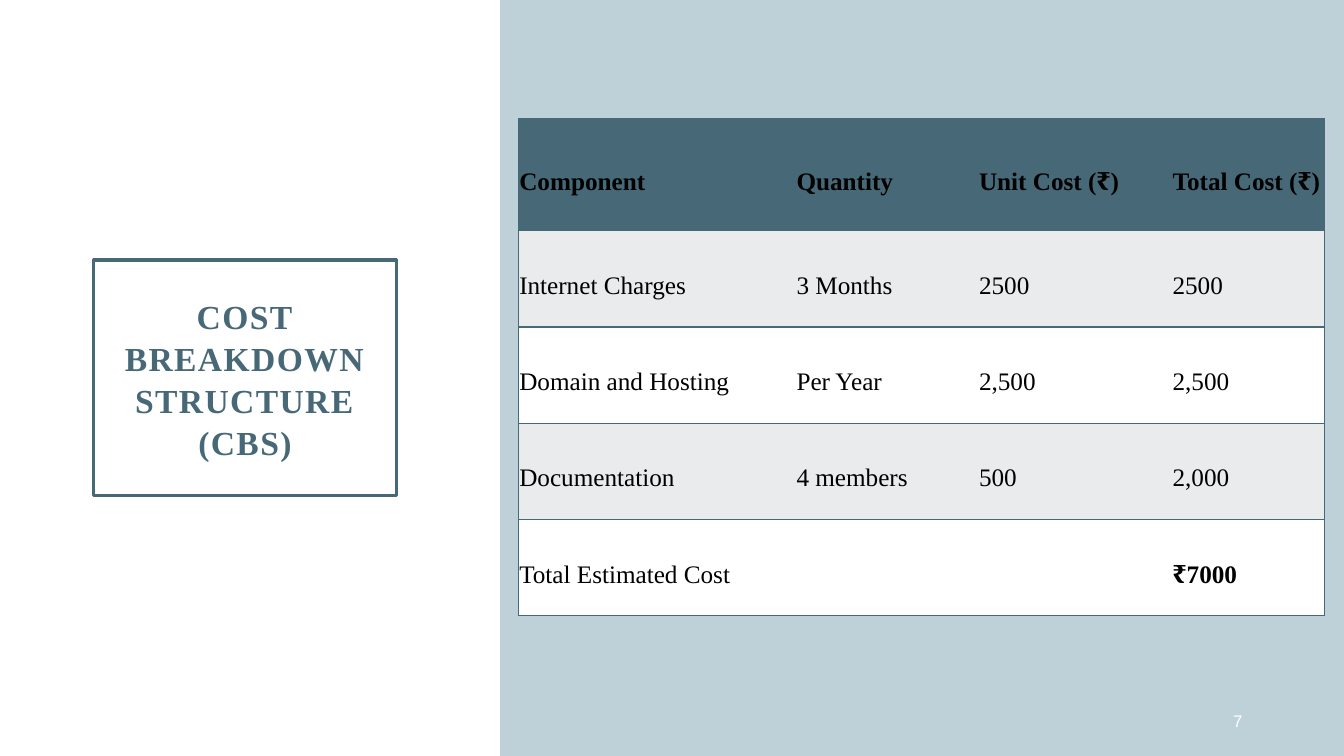
import pptx
import pptx.dml.color
import pptx.enum.shapes
import pptx.enum.text
import pptx.oxml.ns
import pptx.util
from lxml import etree

Inches = pptx.util.Inches
Pt = pptx.util.Pt
RGBColor = pptx.dml.color.RGBColor
PP_ALIGN = pptx.enum.text.PP_ALIGN
qn = pptx.oxml.ns.qn

TEAL = RGBColor(0x47, 0x69, 0x77)
PANEL_BLUE = RGBColor(0xAF, 0xC6, 0xCF)
BAND_GREY = RGBColor(0xE9, 0xEB, 0xEC)
WHITE = RGBColor(0xFF, 0xFF, 0xFF)
BLACK = RGBColor(0, 0, 0)
SERIF = "Times New Roman"

COLUMN_WIDTHS = [2.75, 1.81, 1.92, 1.52]
HEADER_HEIGHT = 1.11
COST_ROWS = [
    ["Component", "Quantity", "Unit Cost (₹)", "Total Cost (₹)"],
    ["Internet Charges", "3 Months", "2500", "2500"],
    ["Domain and Hosting", "Per Year", "2,500", "2,500"],
    ["Documentation", "4 members", "500", "2,000"],
    ["Total Estimated Cost", "", "", "₹7000"],
]


def add_run(paragraph, text, font_name, size, color, bold=False, spacing=0):
    """Add one formatted run, with letter spacing in points."""
    run = paragraph.add_run()
    run.text = text
    run.font.name = font_name
    run.font.size = Pt(size)
    run.font.bold = bold
    run.font.color.rgb = color
    if spacing:
        run.font._element.set("spc", str(spacing * 100))


def add_rectangle(slide, left, top, width, height):
    """Add a rectangle without a shadow."""
    shape = slide.shapes.add_shape(
        pptx.enum.shapes.MSO_SHAPE.RECTANGLE,
        Inches(left), Inches(top), Inches(width), Inches(height))
    shape.shadow.inherit = False
    return shape


def add_panel(slide, left, top, width, height):
    """Add the translucent panel behind the table."""
    panel = add_rectangle(slide, left, top, width, height)
    panel.fill.solid()
    panel.fill.fore_color.rgb = PANEL_BLUE
    panel.line.fill.background()
    color = panel.fill._xPr.find(".//" + qn("a:srgbClr"))
    etree.SubElement(color, qn("a:alpha"), val="80000")


def add_title(slide, left, top, width, height):
    """Add the framed slide title."""
    title = add_rectangle(slide, left, top, width, height)
    title.fill.background()
    title.line.color.rgb = TEAL
    title.line.width = Pt(2.25)
    title.text_frame.word_wrap = True
    title.text_frame.vertical_anchor = pptx.enum.text.MSO_ANCHOR.MIDDLE
    paragraph = title.text_frame.paragraphs[0]
    paragraph.alignment = PP_ALIGN.CENTER
    paragraph.line_spacing = 1.04
    add_run(paragraph, "COST BREAKDOWN STRUCTURE (CBS)", SERIF, 24, TEAL, True, 1)


def set_borders(cell, visible_sides):
    """Draw teal borders on the visible sides and hide the others."""
    properties = cell._tc.get_or_add_tcPr()
    for side in "LRTB":
        line = etree.SubElement(properties, qn("a:ln" + side), w=str(Pt(1)))
        if side in visible_sides:
            fill = etree.SubElement(line, qn("a:solidFill"))
            etree.SubElement(fill, qn("a:srgbClr"), val=str(TEAL))
        else:
            etree.SubElement(line, qn("a:noFill"))


def fill_cell(cell, text, background, bold, alignment):
    """Set the background, margins and text of one table cell."""
    cell.fill.solid()
    cell.fill.fore_color.rgb = background
    cell.vertical_anchor = pptx.enum.text.MSO_ANCHOR.MIDDLE
    cell.margin_left = cell.margin_right = Inches(0.01)
    cell.margin_top = cell.margin_bottom = Inches(0.01)
    if text:
        paragraph = cell.text_frame.paragraphs[0]
        paragraph.alignment = alignment
        paragraph.line_spacing = 1.5
        paragraph.space_after = Pt(10)
        add_run(paragraph, text, SERIF, 18, BLACK, bold)


def add_cost_table(slide, left, top, width, height):
    """Add the cost table with banded rows and an outer frame."""
    table = slide.shapes.add_table(
        len(COST_ROWS), len(COLUMN_WIDTHS),
        Inches(left), Inches(top), Inches(width), Inches(height)).table
    for column, share in zip(table.columns, COLUMN_WIDTHS):
        column.width = Inches(width * share / sum(COLUMN_WIDTHS))
    body_height = (height - HEADER_HEIGHT) / (len(COST_ROWS) - 1)
    last_row, last_column = len(COST_ROWS) - 1, len(COLUMN_WIDTHS) - 1
    for row_index, texts in enumerate(COST_ROWS):
        is_header = row_index == 0
        table.rows[row_index].height = Inches(HEADER_HEIGHT if is_header else body_height)
        background = TEAL if is_header else BAND_GREY if row_index % 2 else WHITE
        alignment = PP_ALIGN.JUSTIFY if is_header else PP_ALIGN.LEFT
        for column_index, text in enumerate(texts):
            cell = table.cell(row_index, column_index)
            sides = "TB" + {0: "L", last_column: "R"}.get(column_index, "")
            set_borders(cell, sides)
            is_total = row_index == last_row and column_index == last_column
            fill_cell(cell, text, background, is_header or is_total, alignment)


def add_page_number(slide, left, top, width, height):
    """Add the right-aligned page number."""
    box = slide.shapes.add_textbox(
        Inches(left), Inches(top), Inches(width), Inches(height))
    box.text_frame.word_wrap = True
    box.text_frame.vertical_anchor = pptx.enum.text.MSO_ANCHOR.MIDDLE
    paragraph = box.text_frame.paragraphs[0]
    paragraph.alignment = PP_ALIGN.RIGHT
    add_run(paragraph, "7", "Arial", 12, WHITE, spacing=1)


def main():
    """Build the cost breakdown slide and save it."""
    presentation = pptx.Presentation()
    presentation.slide_width = Inches(13.33)
    presentation.slide_height = Inches(7.5)
    slide = presentation.slides.add_slide(presentation.slide_layouts[6])
    add_panel(slide, 4.96, 0, 8.37, 7.5)
    add_title(slide, 0.93, 2.58, 3, 2.34)
    add_cost_table(slide, 5.14, 1.18, 8, 4.93)
    add_page_number(slide, 9.42, 6.95, 3, 0.4)
    presentation.save("out.pptx")


if __name__ == "__main__":
    main()
